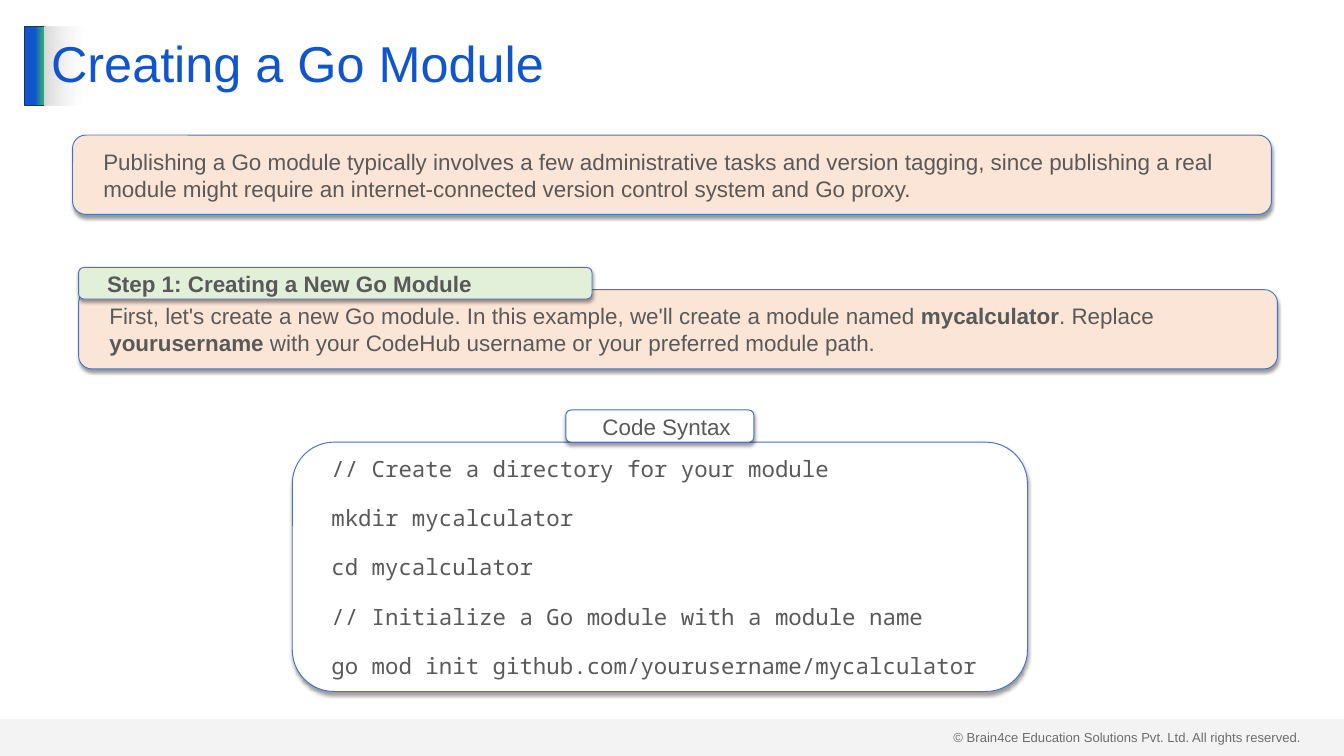
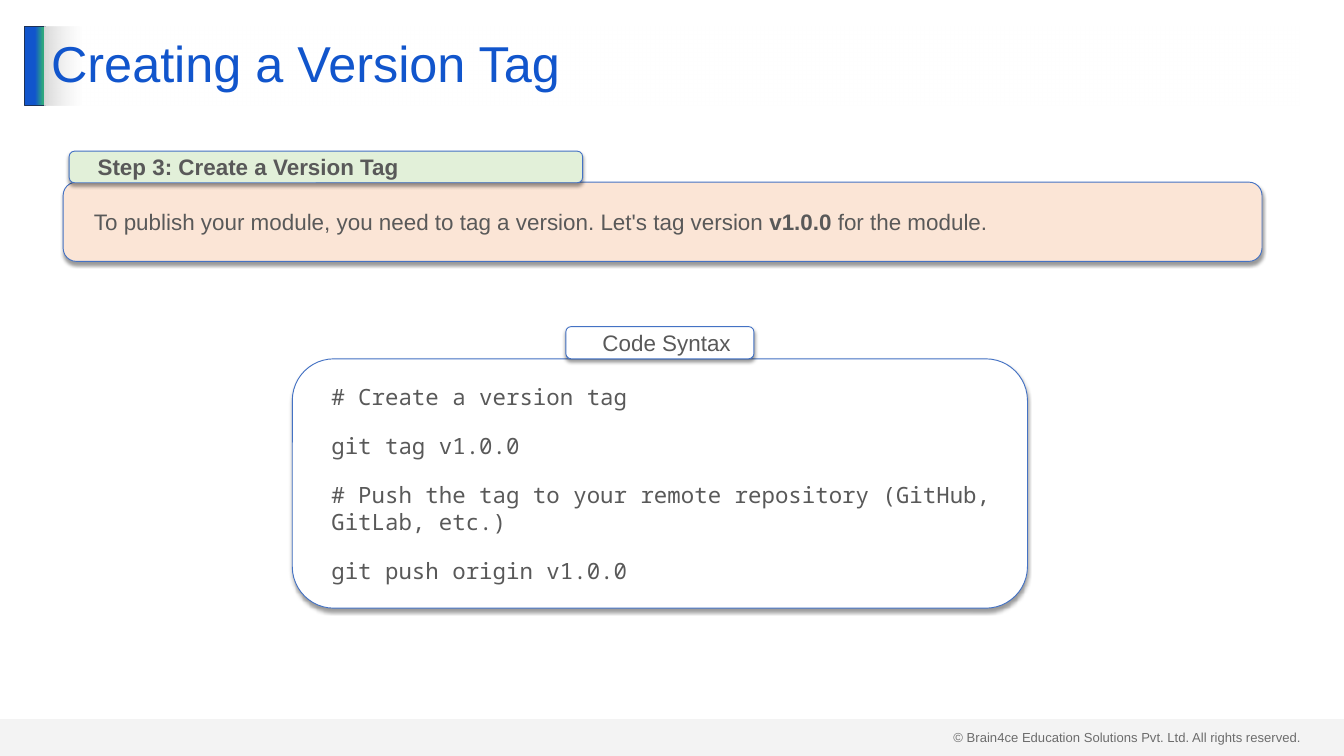
from lxml.etree import SubElement
from pptx import Presentation
from pptx.dml.color import RGBColor
from pptx.enum.shapes import MSO_SHAPE
from pptx.enum.text import MSO_ANCHOR, PP_ALIGN
from pptx.oxml.ns import qn
from pptx.util import Inches, Pt

BLUE = "1155CC"
GREEN = "2EA87D"
NAVY = "1E3256"
OUTLINE = "4472C4"
PEACH = "FBE5D6"
MINT = "E2F0D9"
WHITE = "FFFFFF"
SILVER = "D9D9D9"
BODY_GREY = "595959"
FOOTER_GREY = "404040"
SANS = "Arial"
MONO = "Noto Sans Mono"

PANEL_WIDTH, PANEL_HEIGHT = 17.84, 1.18
STEP_WIDTH, STEP_HEIGHT = 7.64, 0.47
CODE_LEFT, CODE_WIDTH, CODE_HEIGHT = 4.35, 10.94, 3.71
LABEL_WIDTH, LABEL_HEIGHT = 2.8, 0.48


def color(value):
    return RGBColor.from_string(value)


def style_font(font, name, size, value):
    font.name = name
    font.size = Pt(size)
    font.color.rgb = color(value)


def add_alpha(color_element, percent):
    SubElement(color_element, qn("a:alpha"), val=str(percent * 1000))


def fill_gradient(shape, stops):
    shape.fill.gradient()
    shape.fill.gradient_angle = 0
    stop_list = next(shape.element.spPr.iter(qn("a:gsLst")))
    for stop in list(stop_list):
        stop_list.remove(stop)
    for position, value, opacity in stops:
        stop = SubElement(stop_list, qn("a:gs"), pos=str(position * 1000))
        add_alpha(SubElement(stop, qn("a:srgbClr"), val=value), opacity)


def add_shadow(shape):
    shape.shadow.inherit = False
    effects = shape.element.spPr.find(qn("a:effectLst"))
    shadow = SubElement(effects, qn("a:outerShdw"), blurRad=str(Pt(4)),
                        dist=str(Pt(3)), dir="5400000", rotWithShape="0")
    add_alpha(SubElement(shadow, qn("a:srgbClr"), val="000000"), 40)


def place(shape, left, top, width, height):
    shape.left, shape.top = Inches(left), Inches(top)
    shape.width, shape.height = Inches(width), Inches(height)


def add_box(slide, kind, left, top, width, height):
    shape = slide.shapes.add_shape(kind, Inches(left), Inches(top), Inches(width), Inches(height))
    shape.shadow.inherit = False
    return shape


def move_to_layout(shape, layout):
    layout.shapes.element.append(shape.element)


def add_shared_furniture(slide):
    copyright_box = slide.shapes.add_textbox(Inches(14.09), Inches(10.8), Inches(5.41), Inches(0.34))
    paragraph = copyright_box.text_frame.paragraphs[0]
    paragraph.text = "© Brain4ce Education Solutions Pvt. Ltd. All rights reserved."
    style_font(paragraph.font, SANS, 14, FOOTER_GREY)

    accent = add_box(slide, MSO_SHAPE.RECTANGLE, 0.37, 0.39, 0.3, 1.18)
    fill_gradient(accent, [(51, BLUE, 100), (90, GREEN, 100), (100, GREEN, 100)])
    accent.line.color.rgb = color(NAVY)
    accent.line.width = Pt(1)

    band = add_box(slide, MSO_SHAPE.RECTANGLE, 0, 10.7, 20, 0.55)
    band.fill.solid()
    band.fill.fore_color.rgb = color(SILVER)
    add_alpha(next(band.element.spPr.iter(qn("a:srgbClr"))), 29)
    band.line.fill.background()

    for shape in (copyright_box, accent, band):
        move_to_layout(shape, slide.slide_layout)


def set_title(slide, text):
    title = slide.shapes.title
    place(title, 0.66, 0.39, 18.67, 1.18)
    fill_gradient(title, [(0, SILVER, 100), (3, WHITE, 50), (100, WHITE, 50)])
    title.text_frame.vertical_anchor = MSO_ANCHOR.MIDDLE
    paragraph = title.text_frame.paragraphs[0]
    paragraph.text = text
    paragraph.alignment = PP_ALIGN.LEFT
    paragraph.line_spacing = 0.9
    style_font(paragraph.font, SANS, 54, BLUE)


def add_card(slide, left, top, width, height, fill, lines, font_name=SANS, align=PP_ALIGN.LEFT):
    card = add_box(slide, MSO_SHAPE.ROUNDED_RECTANGLE, left, top, width, height)
    card.fill.solid()
    card.fill.fore_color.rgb = color(fill)
    card.line.color.rgb = color(OUTLINE)
    card.line.width = Pt(1)
    add_shadow(card)
    frame = card.text_frame
    frame.word_wrap = True
    frame.vertical_anchor = MSO_ANCHOR.MIDDLE
    frame.margin_left = frame.margin_right = Inches(0.2)
    frame.margin_top = frame.margin_bottom = Inches(0.1)
    for index, line in enumerate(lines):
        paragraph = frame.add_paragraph() if index else frame.paragraphs[0]
        paragraph.level = 1
        paragraph.alignment = align
        properties = paragraph._p.get_or_add_pPr()
        properties.set("marL", str(Inches(0.2)))
        properties.set("indent", "0")
        paragraph.space_before = Pt(12 if index else 0)
        paragraph.space_after = Pt(12)
        style_font(paragraph.font, font_name, 24, BODY_GREY)
        for part, text in enumerate(line.split("**")):
            if text:
                run = paragraph.add_run()
                run.text = text
                run.font.bold = part % 2 == 1


def add_panel(slide, left, top, text):
    add_card(slide, left, top, PANEL_WIDTH, PANEL_HEIGHT, PEACH, [text])


def add_step(slide, left, top, text):
    add_card(slide, left, top, STEP_WIDTH, STEP_HEIGHT, MINT, [f"**{text}**"])


def add_code(slide, top, lines):
    add_card(slide, CODE_LEFT, top, CODE_WIDTH, CODE_HEIGHT, WHITE, lines, MONO)
    label_left = CODE_LEFT + (CODE_WIDTH - LABEL_WIDTH) / 2
    add_card(slide, label_left, top - LABEL_HEIGHT, LABEL_WIDTH, LABEL_HEIGHT, WHITE,
             ["Code Syntax"], align=PP_ALIGN.CENTER)


def add_module_slide(slide):
    set_title(slide, "Creating a Go Module")
    add_panel(slide, 1.08, 2.01,
              "Publishing a Go module typically involves a few administrative tasks and version "
              "tagging, since publishing a real module might require an internet-connected "
              "version control system and Go proxy.")
    add_panel(slide, 1.17, 4.31,
              "First, let's create a new Go module. In this example, we'll create a module named "
              "**mycalculator**. Replace **yourusername** with your CodeHub username or your "
              "preferred module path.")
    add_code(slide, 6.58, [
        "// Create a directory for your module",
        "mkdir mycalculator",
        "cd mycalculator",
        "// Initialize a Go module with a module name",
        "go mod init github.com/yourusername/mycalculator",
    ])
    add_step(slide, 1.17, 3.98, "Step 1: Creating a New Go Module")


def add_version_slide(slide):
    set_title(slide, "Creating a Version Tag")
    add_panel(slide, 0.94, 2.71,
              "To publish your module, you need to tag a version. Let's tag version "
              "**v1.0.0** for the module.")
    add_code(slide, 5.34, [
        "# Create a version tag",
        "git tag v1.0.0",
        "# Push the tag to your remote repository (GitHub, GitLab, etc.)",
        "git push origin v1.0.0",
    ])
    add_step(slide, 1.03, 2.25, "Step 3: Create a Version Tag")


def main():
    presentation = Presentation()
    presentation.slide_width = Inches(20)
    presentation.slide_height = Inches(11.25)
    title_only = presentation.slide_layouts[5]
    module_slide = presentation.slides.add_slide(title_only)
    add_shared_furniture(module_slide)
    add_module_slide(module_slide)
    add_version_slide(presentation.slides.add_slide(title_only))
    presentation.save("out.pptx")


if __name__ == "__main__":
    main()
